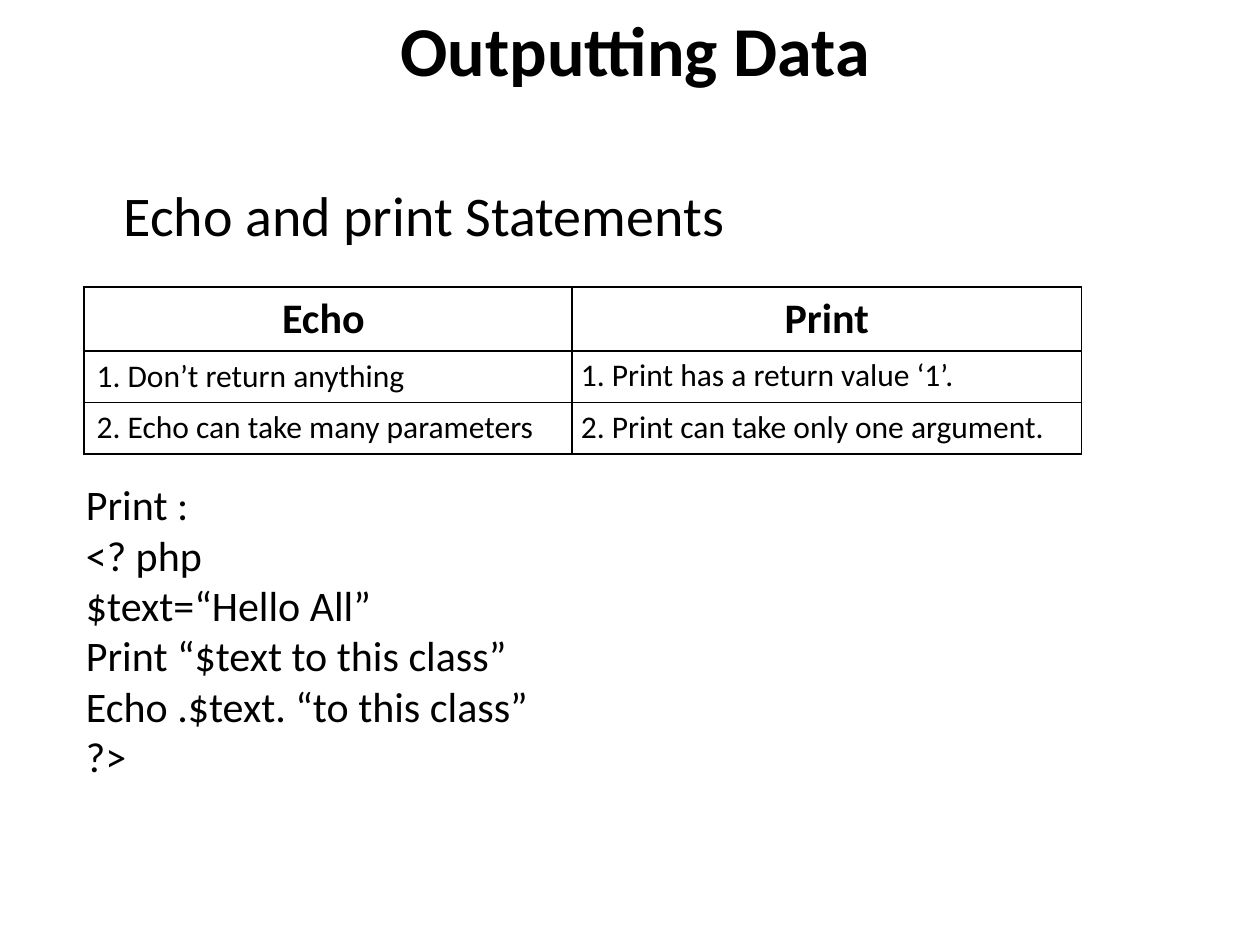
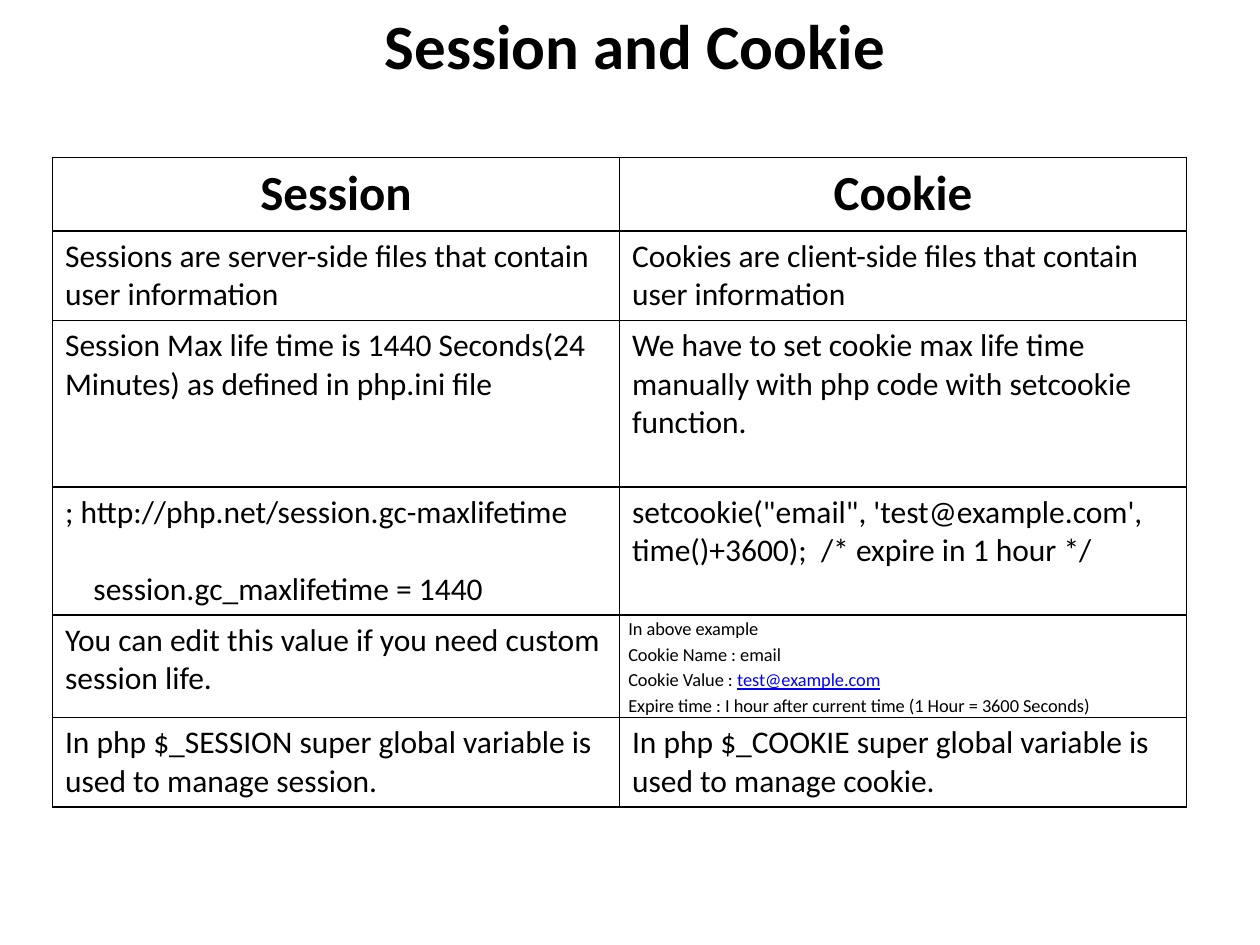
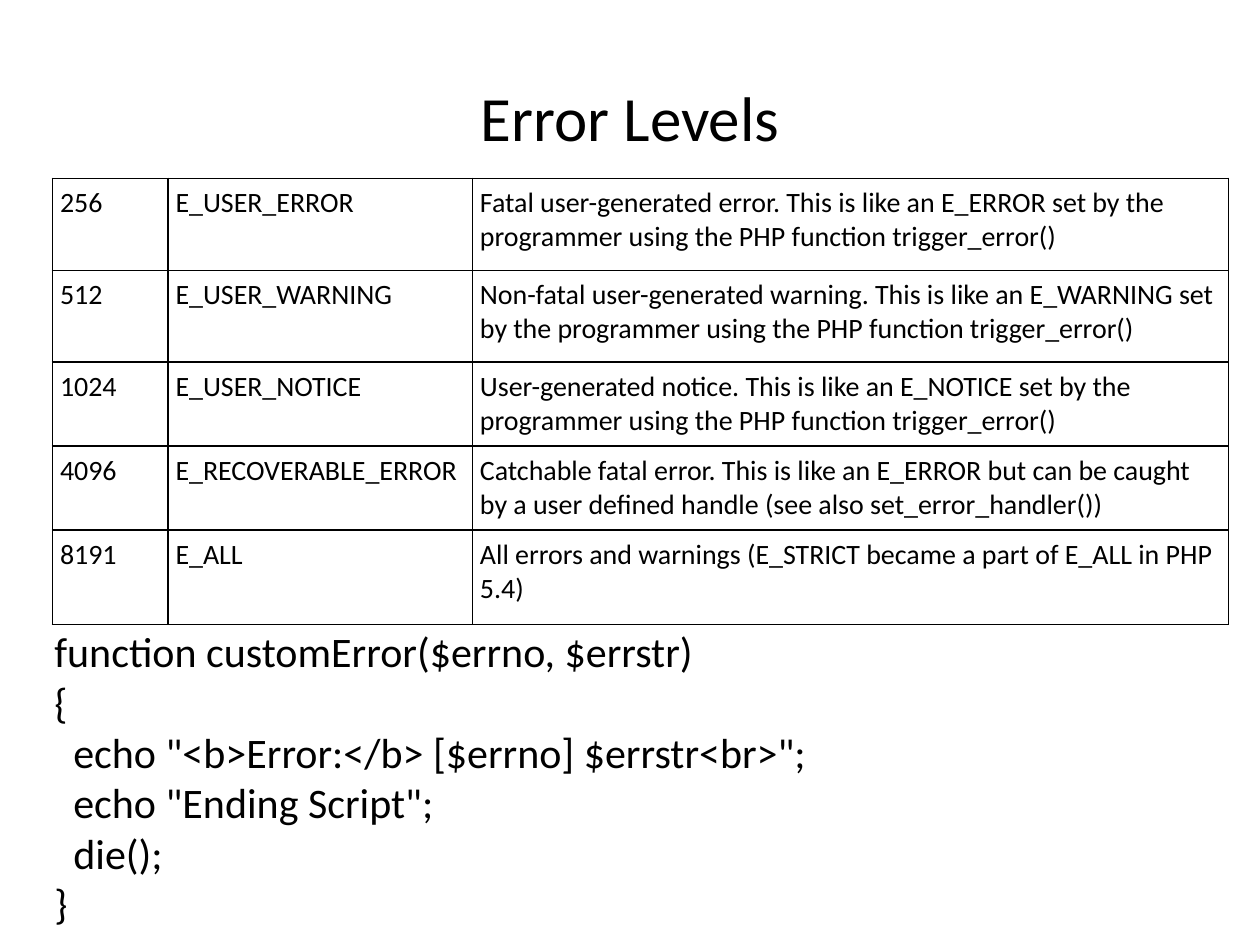
from lxml import etree
from pptx import Presentation
from pptx import util as u
from pptx.dml.color import RGBColor
from pptx.enum import text
from pptx.oxml.ns import qn

BLACK = RGBColor(0, 0, 0)
LINK_BLUE = RGBColor(0, 0, 255)
FONT = "Calibri"

deck = Presentation()
deck.slide_width, deck.slide_height = u.Inches(10), u.Inches(7.5)
COL = deck.slide_width / 120
ROW = deck.slide_height / 90


def write(frame, words, size, bold=False, align=text.PP_ALIGN.LEFT):
    frame.text = words
    frame.word_wrap = True
    look = {"name": FONT, "size": u.Pt(size), "bold": bold}
    for paragraph in frame.paragraphs:
        paragraph.alignment = align
        for run in paragraph.runs:
            run.font.color.rgb = BLACK
            for key, value in look.items():
                setattr(run.font, key, value)


def add_grid(slide, left, top, widths, heights, content, size, header_size=None):
    grid = slide.shapes.add_table(
        len(heights), len(widths), round(left * COL), round(top * ROW),
        round(sum(widths) * COL), round(sum(heights) * ROW)).table
    grid.first_row = grid.horz_banding = False
    for column, width in zip(grid.columns, widths):
        column.width = round(width * COL)
    for r, (line, height) in enumerate(zip(content, heights)):
        grid.rows[r].height = round(height * ROW)
        for c, words in enumerate(line):
            cell = grid.cell(r, c)
            if header_size and r == 0:
                write(cell.text_frame, words, header_size, True, text.PP_ALIGN.CENTER)
            else:
                write(cell.text_frame, words, size)
            cell.fill.background()
            for i, side in enumerate(("lnL", "lnR", "lnT", "lnB")):
                border = etree.Element(qn("a:" + side), w=str(u.Pt(1)))
                fill = etree.SubElement(border, qn("a:solidFill"))
                etree.SubElement(fill, qn("a:srgbClr"), val=str(BLACK))
                cell._tc.tcPr.insert(i, border)
    return grid


TITLES = [
    ("Outputting Data", 1, 40, True, (7, 0, 107, 9.25), text.MSO_ANCHOR.TOP),
    ("Session and Cookie", 5, 36, True, (7, 0, 107, 8.5), text.MSO_ANCHOR.TOP),
    ("Error Levels", 5, 36, False, (6, 3.6, 108, 15), text.MSO_ANCHOR.MIDDLE),
]
slides = []
for words, layout, size, bold, (left, top, width, height), anchor in TITLES:
    slide = deck.slides.add_slide(deck.slide_layouts[layout])
    title = slide.shapes.title
    place = {"left": left * COL, "top": top * ROW, "width": width * COL, "height": height * ROW}
    for key, value in place.items():
        setattr(title, key, round(value))
    write(title.text_frame, words, size, bold, text.PP_ALIGN.CENTER)
    title.text_frame.auto_size = text.MSO_AUTO_SIZE.NONE
    title.text_frame.vertical_anchor = anchor
    slides.append(slide)
output, storage, errors = slides

statements = output.placeholders[1]
place = {"left": 6 * COL, "top": 9 * ROW, "width": 108 * COL, "height": 71.4 * ROW}
for key, value in place.items():
    setattr(statements, key, round(value))
write(statements.text_frame, "Echo and print Statements", 32)
statements.text_frame.auto_size = text.MSO_AUTO_SIZE.NONE
statements.text_frame.margin_left = u.Inches(0.48)
statements.text_frame.margin_top = u.Inches(0.68)
heading_format = statements.text_frame.paragraphs[0]._p.get_or_add_pPr()
heading_format.set("marL", "0")
heading_format.set("indent", "0")
etree.SubElement(heading_format, qn("a:buNone"))

echo_print = add_grid(output, 8, 27.35, (46.5, 48.5), (6, 4.9, 4.9), [
    ("Echo ", "Print"),
    ("1. Don’t return anything", "1. Print has a return value ‘1’."),
    ("2. Echo can take many parameters", "2. Print can take only one argument."),
], 18, 24)

session_cookie = add_grid(storage, 5, 15, (54, 54), (7, 8.5, 15.85, 12.2, 9.75, 8.5), [
    ("Session", "Cookie"),
    ("Sessions are server-side files that contain user information",
     "Cookies are client-side files that contain user information"),
    ("Session Max life time is 1440 Seconds(24 Minutes) as defined in php.ini file",
     "We have to set cookie max life time manually with php code with setcookie function."),
    ("; http://php.net/session.gc-maxlifetime\n    session.gc_maxlifetime = 1440",
     "setcookie(\"email\", 'test@example.com', time()+3600);  /* expire in 1 hour */"),
    ("You can edit this value if you need custom session life.", ""),
    ("In php $_SESSION super global variable is used to manage session.",
     "In php $_COOKIE super global variable is used to manage cookie."),
], 18, 28)
session_cookie.cell(3, 0).text_frame.paragraphs[1].space_before = u.Pt(22)

example = session_cookie.cell(4, 1)
write(example.text_frame,
      "In above example\nCookie Name : email\nCookie Value : \n"
      "Expire time : I hour after current time (1 Hour = 3600 Seconds)", 10.5)
address = example.text_frame.paragraphs[2].add_run()
address.text = "test@example.com"
address.font.color.rgb = LINK_BLUE
for key, value in {"name": FONT, "size": u.Pt(10.5), "bold": False, "underline": True}.items():
    setattr(address.font, key, value)

tight = {"margin_left": 0.07, "margin_right": 0.07, "margin_top": 0, "margin_bottom": 0}
for cell in (echo_print.cell(1, 1), echo_print.cell(2, 1), example):
    for key, value in tight.items():
        setattr(cell, key, u.Inches(value))
    for paragraph in cell.text_frame.paragraphs:
        paragraph.line_spacing = 1.15

levels = add_grid(errors, 5, 17, (11, 29, 72), (8.75, 8.75, 8, 8, 9), [
    ("256", "E_USER_ERROR",
     "Fatal user-generated error. This is like an E_ERROR set by the programmer "
     "using the PHP function trigger_error()"),
    ("512", "E_USER_WARNING",
     "Non-fatal user-generated warning. This is like an E_WARNING set by the programmer "
     "using the PHP function trigger_error()"),
    ("1024", "E_USER_NOTICE",
     "User-generated notice. This is like an E_NOTICE set by the programmer "
     "using the PHP function trigger_error()"),
    ("4096", "E_RECOVERABLE_ERROR",
     "Catchable fatal error. This is like an E_ERROR but can be caught "
     "by a user defined handle (see also set_error_handler())"),
    ("8191", "E_ALL",
     "All errors and warnings (E_STRICT became a part of E_ALL in PHP 5.4)"),
], 16)
for cell in levels.iter_cells():
    for side in ("left", "right", "top", "bottom"):
        setattr(cell, "margin_" + side, u.Inches(0.06))

LISTINGS = [
    (output, (7, 45, 98, 34), """Print :
<? php
$text=“Hello All”
Print “$text to this class”
Echo .$text. “to this class”
?>"""),
    (errors, (4, 59, 102, 30.25), """function customError($errno, $errstr)
{
  echo "<b>Error:</b> [$errno] $errstr<br>";
  echo "Ending Script";
  die();
}"""),
]
for slide, (left, top, width, height), code in LISTINGS:
    listing = slide.shapes.add_textbox(
        round(left * COL), round(top * ROW), round(width * COL), round(height * ROW))
    write(listing.text_frame, code, 24)

deck.save("out.pptx")
